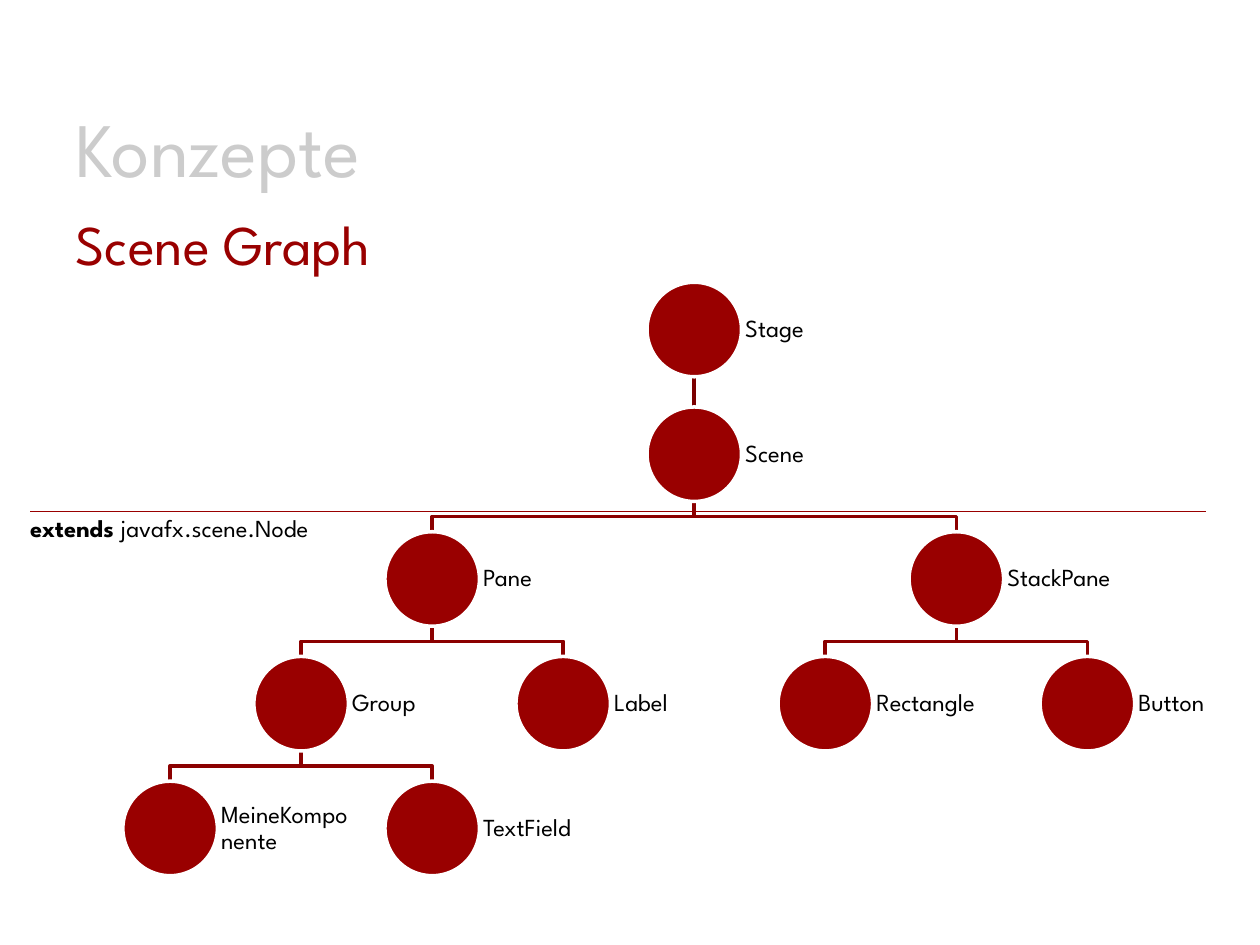
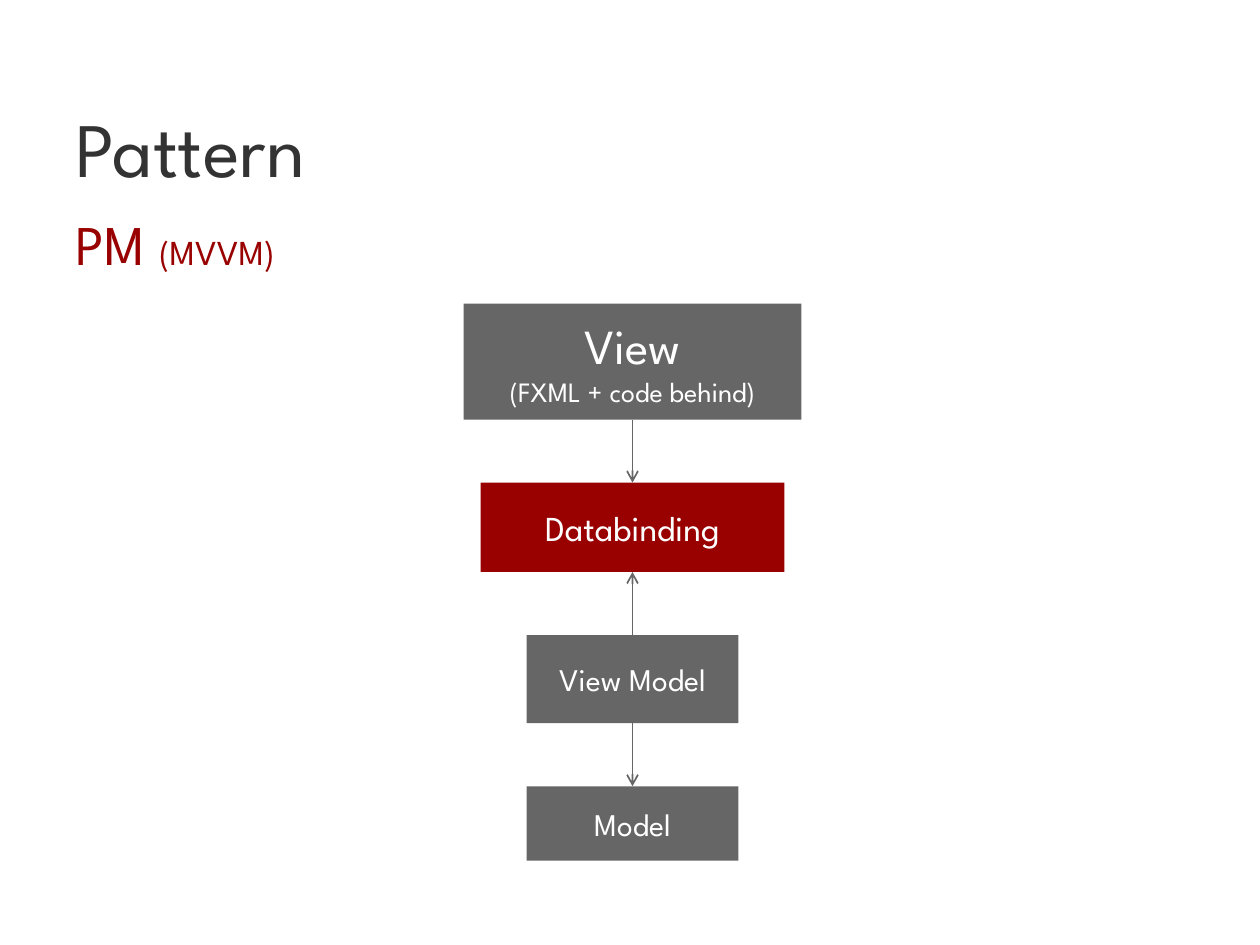
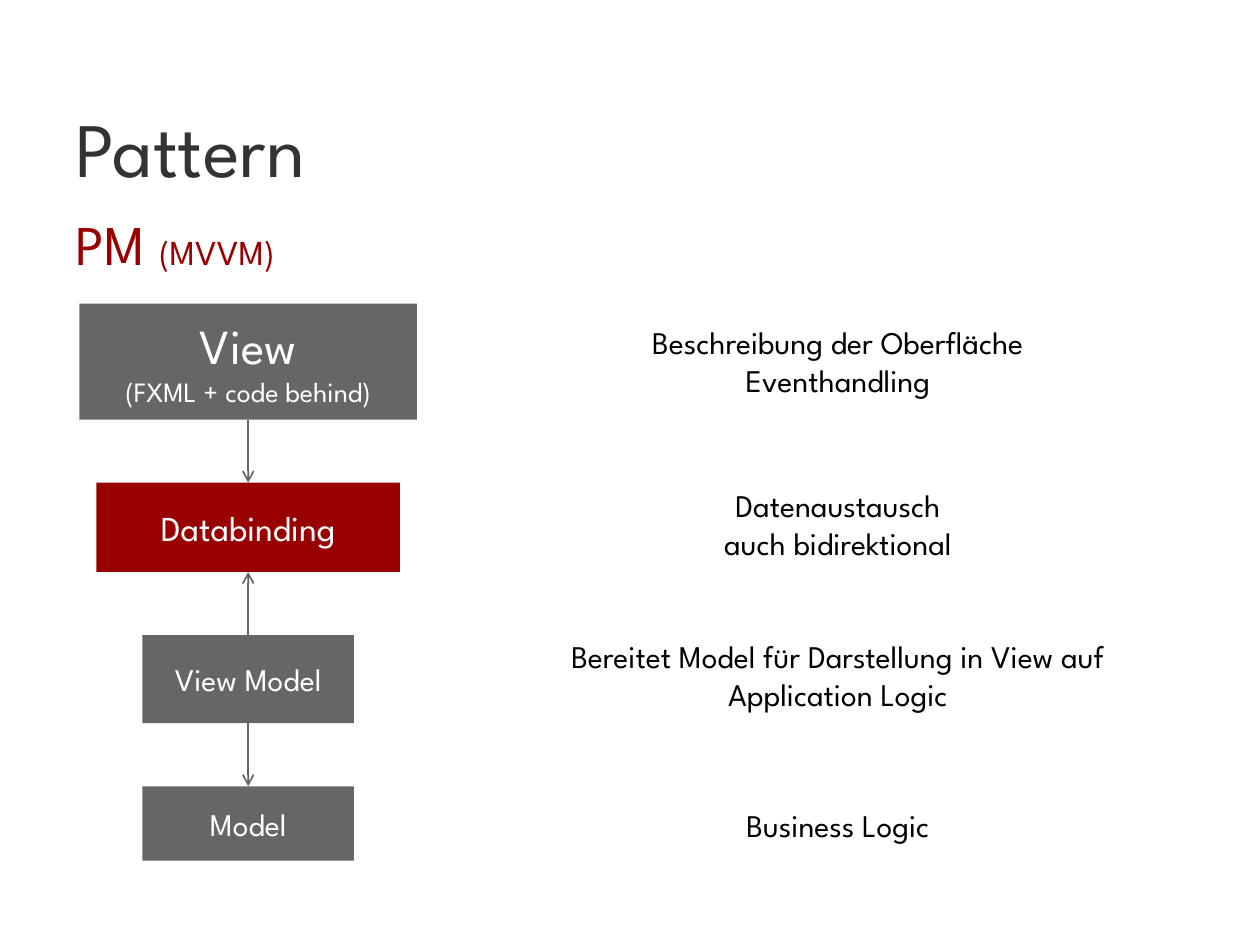
from dataclasses import dataclass

from lxml.etree import SubElement
from pptx import Presentation
from pptx.dml.color import RGBColor
from pptx.enum.shapes import MSO_CONNECTOR, MSO_SHAPE
from pptx.enum.text import MSO_ANCHOR, MSO_AUTO_SIZE, PP_ALIGN
from pptx.oxml.ns import qn
from pptx.util import Inches, Pt


@dataclass(frozen=True)
class Theme:
    font: str = "League Spartan"
    red: str = "990000"
    root_link: str = "7B0000"
    link: str = "8B0000"
    box: str = "666666"
    chapter: str = "333333"
    faded_chapter: str = "CCCCCC"
    text: str = "000000"
    white: str = "FFFFFF"
    chapter_size: int = 44
    title_size: int = 32
    view_size: int = 28
    binding_size: int = 20
    body_size: int = 18
    note_size: int = 16
    node_size: int = 14


@dataclass(frozen=True)
class Node:
    name: str
    column: int
    children: tuple = ()


@dataclass(frozen=True)
class Layer:
    lines: tuple  # (text, size) for each line
    width: float
    height: float
    fill: str


THEME = Theme()

SCENE_GRAPH = Node("Stage", 4, (
    Node("Scene", 4, (
        Node("Pane", 2, (
            Node("Group", 1, (Node("MeineKomponente", 0), Node("TextField", 2))),
            Node("Label", 3),
        )),
        Node("StackPane", 6, (Node("Rectangle", 5), Node("Button", 7))),
    )),
))
TREE_LEFT, TREE_TOP = 1.35, 2.24
COLUMN_STEP, LEVEL_STEP = 1.04, 0.99
CIRCLE = 0.75

LAYERS = (
    Layer((("View", THEME.view_size), ("(FXML + code behind)", THEME.note_size)),
          2.68, 0.92, THEME.box),
    Layer((("Databinding", THEME.binding_size),), 2.41, 0.71, THEME.red),
    Layer((("View Model", THEME.body_size),), 1.68, 0.7, THEME.box),
    Layer((("Model", THEME.body_size),), 1.68, 0.59, THEME.box),
)
LAYERS_TOP, LAYER_GAP = 2.41, 0.5
ARROWS = ((0, 1), (2, 1), (2, 3))

DESCRIPTION_CENTER = 6.65
DESCRIPTIONS = (
    (("Beschreibung der Oberfläche", "Eventhandling"), 2.51, 3.84, 0.71),
    (("Datenaustausch", "auch bidirektional"), 3.8, 2.42, 0.71),
    (("Bereitet Model für Darstellung in View auf", "Application Logic"), 5, 5.23, 0.71),
    (("Business Logic",), 6.35, 1.9, 0.4),
)

PM_TITLE = (("PM ", THEME.title_size), ("(MVVM)", THEME.binding_size))


def rgb(color):
    return RGBColor.from_string(color)


def add_styled_run(paragraph, text, size, color, bold=False):
    run = paragraph.add_run()
    run.text = text
    run.font.name = THEME.font
    run.font.size = Pt(size)
    run.font.bold = bold
    run.font.color.rgb = rgb(color)


def add_text(slide, left, top, width, height, anchor=MSO_ANCHOR.TOP, wrap=True):
    frame = slide.shapes.add_textbox(
        Inches(left), Inches(top), Inches(width), Inches(height)).text_frame
    frame.word_wrap = wrap
    frame.vertical_anchor = anchor
    return frame


def add_titled_slide(deck, chapter, chapter_color, title_parts):
    slide = deck.slides.add_slide(deck.slide_layouts[5])
    title = slide.shapes.title
    title.left, title.top = Inches(0.5), Inches(1.65)
    title.width, title.height = Inches(7.12), Inches(0.6)
    title.text_frame.vertical_anchor = MSO_ANCHOR.BOTTOM
    title.text_frame.auto_size = MSO_AUTO_SIZE.NONE
    heading = title.text_frame.paragraphs[0]
    heading.alignment = PP_ALIGN.LEFT
    for text, size in title_parts:
        add_styled_run(heading, text, size, THEME.red)
    chapter_frame = add_text(slide, 0.5, 0.75, 7.12, 0.8)
    add_styled_run(chapter_frame.paragraphs[0], chapter, THEME.chapter_size, chapter_color)
    return slide


def add_line(slide, start, end, color, width):
    line = slide.shapes.add_connector(
        MSO_CONNECTOR.STRAIGHT, *(Inches(value) for value in (*start, *end)))
    line.line.color.rgb = rgb(color)
    line.line.width = Pt(width)
    SubElement(line._element.spPr, qn("a:effectLst"))
    return line


def add_arrow(slide, source, target):
    """Join the facing edges of two stacked boxes, with the head at the target."""
    arrow = add_line(slide, (0, 0), (1, 1), THEME.box, 1)
    top_site, bottom_site = 0, 2
    downward = source.top < target.top
    arrow.begin_connect(source, bottom_site if downward else top_site)
    arrow.end_connect(target, top_site if downward else bottom_site)
    SubElement(arrow.line._get_or_add_ln(), qn("a:tailEnd"), type="arrow")


def node_position(node, level):
    """Return the centre x and the top y of a node's circle."""
    return TREE_LEFT + node.column * COLUMN_STEP, TREE_TOP + level * LEVEL_STEP


def add_branch(slide, parent, child, level):
    start_x, parent_top = node_position(parent, level)
    end_x, end_y = node_position(child, level + 1)
    start_y = parent_top + CIRCLE
    if start_x == end_x:
        add_line(slide, (start_x, start_y), (end_x, end_y), THEME.root_link, 2)
        return
    middle = (start_y + end_y) / 2
    outline = slide.shapes.build_freeform(Inches(start_x), Inches(start_y))
    outline.add_line_segments(
        [(Inches(x), Inches(y))
         for x, y in ((start_x, middle), (end_x, middle), (end_x, end_y))],
        close=False)
    branch = outline.convert_to_shape()
    branch.shadow.inherit = False
    branch.fill.background()
    branch.line.color.rgb = rgb(THEME.link)
    branch.line.width = Pt(2)


def add_node(slide, node, level):
    center, top = node_position(node, level)
    circle = slide.shapes.add_shape(
        MSO_SHAPE.OVAL, Inches(center - CIRCLE / 2), Inches(top),
        Inches(CIRCLE), Inches(CIRCLE))
    circle.shadow.inherit = False
    circle.fill.solid()
    circle.fill.fore_color.rgb = rgb(THEME.red)
    circle.line.color.rgb = rgb(THEME.white)
    circle.line.width = Pt(2)
    label = add_text(slide, center + CIRCLE / 2, top, 1.13, CIRCLE, MSO_ANCHOR.MIDDLE)
    label.margin_left = label.margin_right = Inches(0.03)
    label.margin_top = label.margin_bottom = Inches(0.03)
    label.paragraphs[0].line_spacing = 0.9
    add_styled_run(label.paragraphs[0], node.name, THEME.node_size, THEME.text)


def add_tree(slide, node, level=0):
    for child in node.children:
        add_branch(slide, node, child, level)
    add_node(slide, node, level)
    for child in node.children:
        add_tree(slide, child, level + 1)


def add_node_boundary(slide):
    """Mark the level below which everything is a Node."""
    frame = add_text(slide, 0.14, 4.02, 2.81, 0.34, wrap=False)
    add_styled_run(frame.paragraphs[0], "extends ", THEME.node_size, THEME.text, bold=True)
    add_styled_run(frame.paragraphs[0], "javafx.scene.Node", THEME.node_size, THEME.text)
    add_line(slide, (0.24, 4.06), (9.57, 4.06), THEME.red, 0.25)


def add_layer(slide, layer, center, top):
    box = slide.shapes.add_shape(
        MSO_SHAPE.RECTANGLE, Inches(center - layer.width / 2), Inches(top),
        Inches(layer.width), Inches(layer.height))
    box.shadow.inherit = False
    box.fill.solid()
    box.fill.fore_color.rgb = rgb(layer.fill)
    box.line.fill.background()
    box.text_frame.vertical_anchor = MSO_ANCHOR.MIDDLE
    caption = box.text_frame.paragraphs[0]
    caption.alignment = PP_ALIGN.CENTER
    for index, (text, size) in enumerate(layer.lines):
        if index:
            caption.add_line_break()
        add_styled_run(caption, text, size, THEME.white)
    return box


def add_layer_stack(slide, center):
    boxes = []
    top = LAYERS_TOP
    for layer in LAYERS:
        boxes.append(add_layer(slide, layer, center, top))
        top += layer.height + LAYER_GAP
    for source, target in ARROWS:
        add_arrow(slide, boxes[source], boxes[target])


def add_description(slide, lines, top, width, height):
    frame = add_text(slide, DESCRIPTION_CENTER - width / 2, top, width, height,
                     MSO_ANCHOR.MIDDLE, wrap=False)
    for index, line in enumerate(lines):
        paragraph = frame.add_paragraph() if index else frame.paragraphs[0]
        paragraph.alignment = PP_ALIGN.CENTER
        add_styled_run(paragraph, line, THEME.body_size, THEME.text)


def main():
    deck = Presentation()
    deck.slide_width, deck.slide_height = Inches(10), Inches(7.5)

    scene_graph = add_titled_slide(
        deck, "Konzepte", THEME.faded_chapter, (("Scene Graph", THEME.title_size),))
    add_tree(scene_graph, SCENE_GRAPH)
    add_node_boundary(scene_graph)

    pattern = add_titled_slide(deck, "Pattern", THEME.chapter, PM_TITLE)
    add_layer_stack(pattern, center=5.02)

    explained_pattern = add_titled_slide(deck, "Pattern", THEME.chapter, PM_TITLE)
    add_layer_stack(explained_pattern, center=1.97)
    for description in DESCRIPTIONS:
        add_description(explained_pattern, *description)

    deck.save("out.pptx")


if __name__ == "__main__":
    main()
